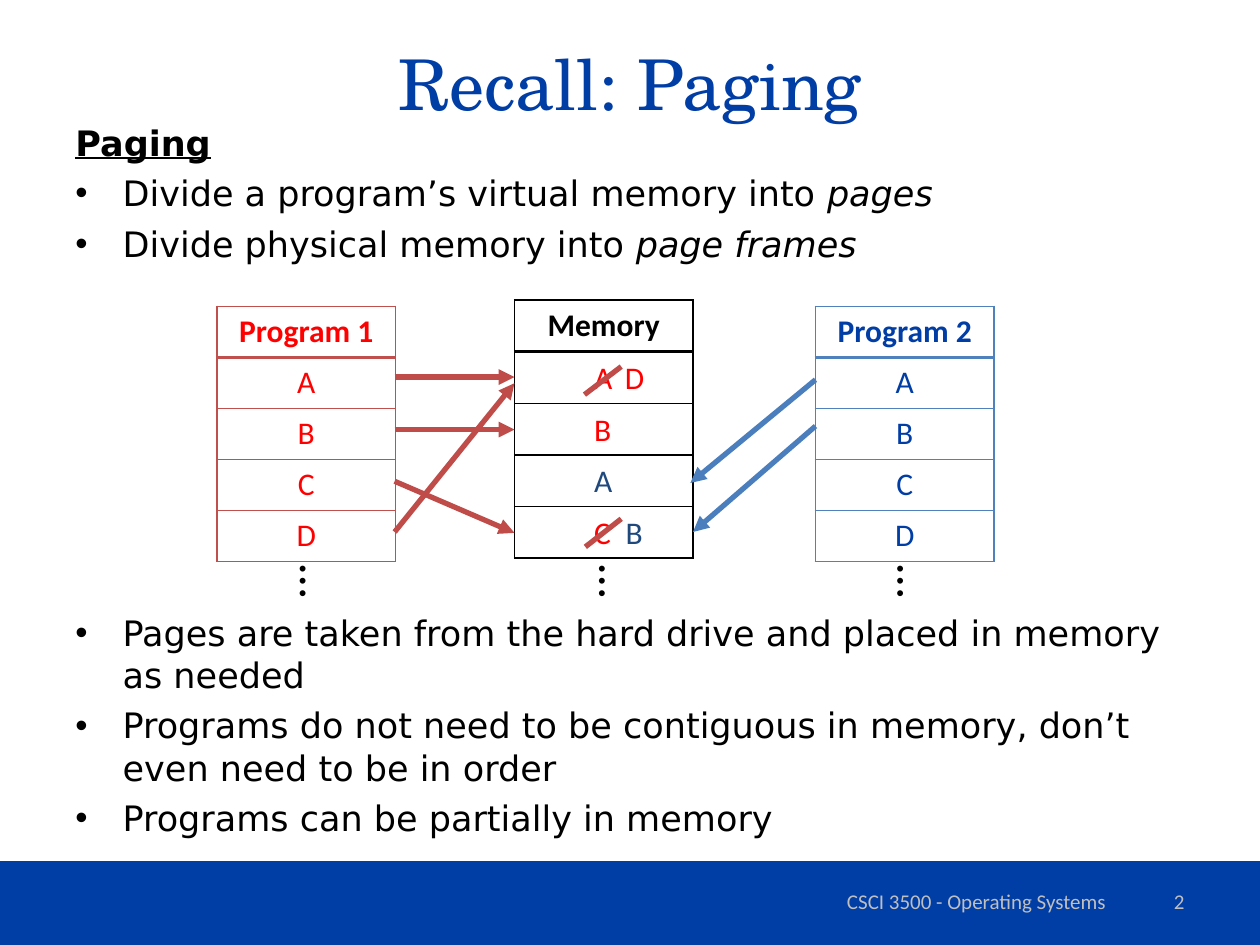
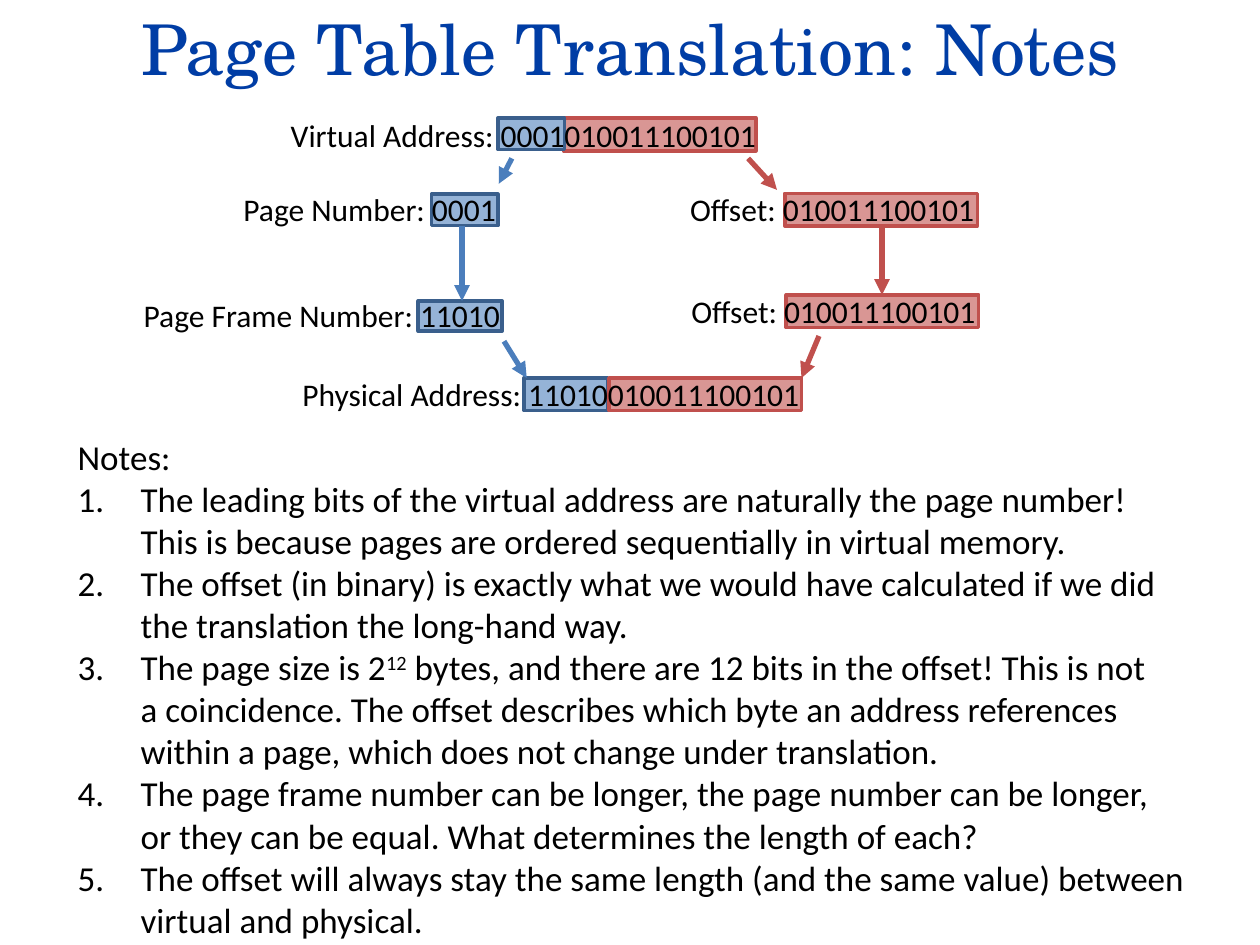
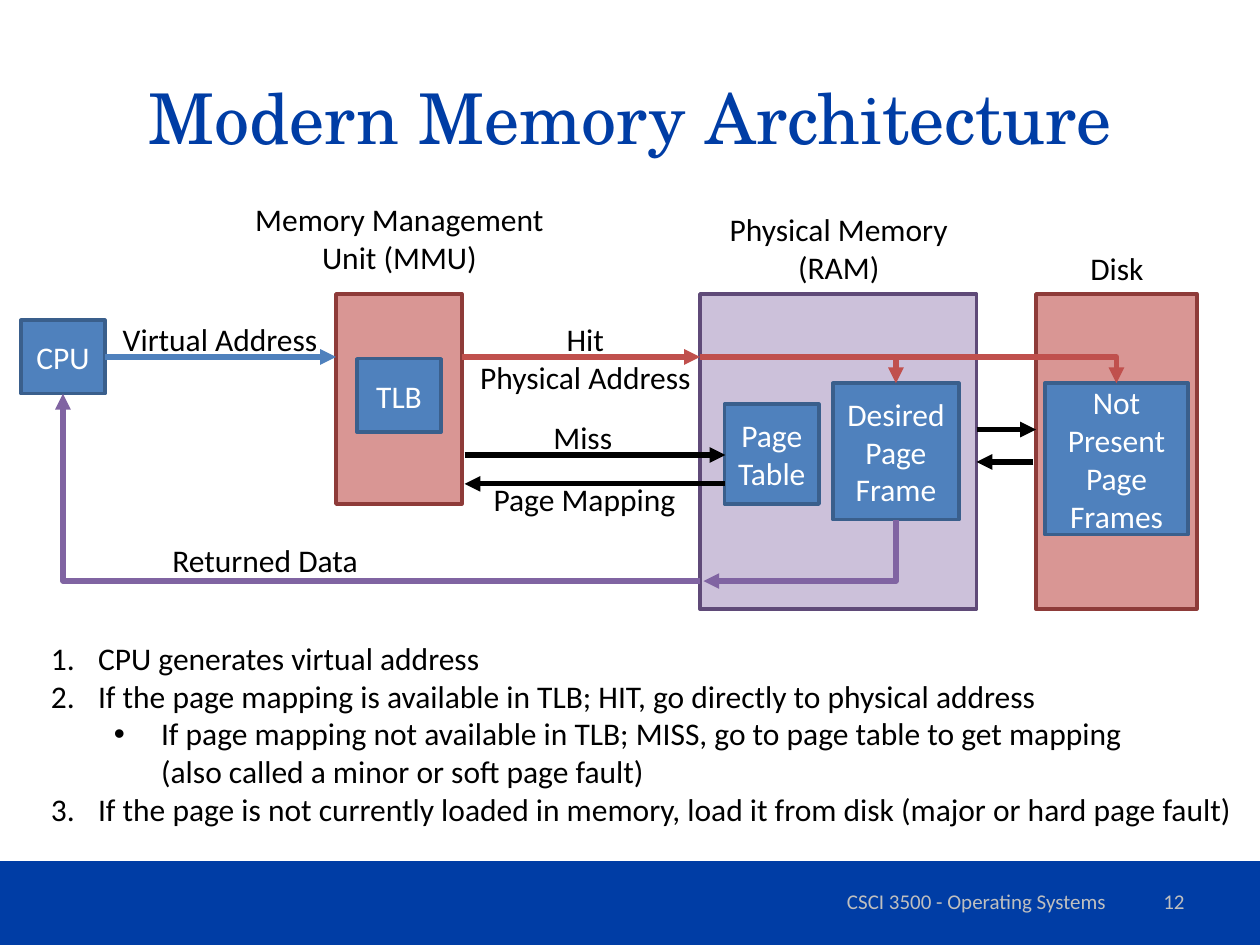
from lxml import etree
from pptx import Presentation
from pptx.dml.color import RGBColor
from pptx.enum import shapes, text as txt
from pptx.oxml import ns
from pptx.util import Pt

# Shared look
NAVY = RGBColor(0x00, 0x3D, 0xA5)
GRAY = RGBColor(0xBF, 0xBF, 0xBF)
BLACK = RGBColor(0, 0, 0)
WHITE = RGBColor(255, 255, 255)
RED = RGBColor(255, 0, 0)
INK = RGBColor(0x1F, 0x49, 0x7D)
BRICK = RGBColor(0xC0, 0x50, 0x4D)
RUST = RGBColor(0xBF, 0x4C, 0x48)
WINE = RGBColor(0x8E, 0x3B, 0x39)
ROSE = RGBColor(0xD9, 0x96, 0x94)
BLUE = RGBColor(0x4F, 0x81, 0xBD)
STEEL = RGBColor(0x4B, 0x7E, 0xBC)
DEEP = RGBColor(0x3A, 0x5F, 0x8C)
SKY = RGBColor(0x95, 0xB3, 0xD7)
LILAC = RGBColor(0xCC, 0xC1, 0xDA)
PLUM = RGBColor(0x5F, 0x4A, 0x78)
VIOLET = RGBColor(0x80, 0x64, 0xA2)
BODY, HEAD, WIDE = "Calibri", "TeX Gyre Schola", "DejaVu Sans"
COURSE = "CSCI 3500 - Operating Systems"
LEFT, MID, RIGHT = txt.PP_ALIGN.LEFT, txt.PP_ALIGN.CENTER, txt.PP_ALIGN.RIGHT
TOP, CENTER = txt.MSO_ANCHOR.TOP, txt.MSO_ANCHOR.MIDDLE

# Paragraphs are plain text or (mark, runs); runs are (text, style)
# Slide 1 content
INTRO = [
    ("", [("Paging", "bold line")]),
    ("•", [("Divide a program’s virtual memory into ", ""), ("pages", "italic")]),
    ("•", [("Divide physical memory into ", ""), ("page frames", "italic")]),
]
FACTS = [("•", [(fact, "")]) for fact in (
    "Pages are taken from the hard drive and placed in memory as needed",
    "Programs do not need to be contiguous in memory, don’t even need to be in order",
    "Programs can be partially in memory",
)]
PAGES = ["A", "B", "C", "D"]
TABLES = [  # left, top, row height, border, ink, cells
    (124, 175, 29.2, BRICK, RED, ["Program 1"] + PAGES),
    (466, 175, 29.2, BLUE, NAVY, ["Program 2"] + PAGES),
    (294, 171.5, 29.5, BLACK, BLACK, ["Memory"] + [""] * 4),
]
FRAMES = [  # row, left, letter, ink
    (0, 332.5, "A", RED), (1, 332.5, "B", RED), (2, 332.5, "A", INK),
    (3, 332.5, "C", RED), (0, 350, "D", RED), (3, 350.5, "B", INK),
]
MAPS = [
    (225.5, 215.5, 294, 215.5, RUST), (225.5, 245.5, 294, 245.5, RUST),
    (225.5, 275, 294, 304.5, RUST), (225.5, 304, 294, 219, RUST),
    (466, 217, 394.5, 276, STEEL), (466, 243.5, 396, 304, STEEL),
]
STRIKES = [(334, 225.5, 355, 209.5), (334.5, 312.5, 355, 296.5)]

# Slide 2 content
BITS = [  # left, top, width, height, fill, border
    (322, 67.5, 110, 18.7, ROSE, BRICK), (284.5, 67.5, 38, 18, SKY, DEEP),
    (448.5, 110.5, 110, 18.7, ROSE, BRICK), (246.5, 110.9, 38, 18, SKY, DEEP),
    (239, 172, 48, 17.3, SKY, DEEP), (299.5, 216, 48, 18.7, SKY, DEEP),
    (449.3, 168.5, 110, 18.7, ROSE, BRICK), (348, 216, 110, 18.7, ROSE, BRICK),
]
STEPS = [  # left, top, width, text
    (159, 62.5, 283.5, "Virtual Address: 0001010011100101"),
    (132, 105, 160.5, "Page Number: 0001"),
    (387.3, 105, 179.3, "Offset: 010011100101"),
    (75, 165.7, 227, "Page Frame Number: 11010"),
    (388, 163.5, 179.3, "Offset: 010011100101"),
    (165.7, 211, 301.5, "Physical Address: 11010010011100101"),
]
FLOWS = [
    (292.5, 90.5, 285, 105, STEEL), (427.5, 90.5, 444, 108.5, BRICK),
    (288, 195, 301, 216, STEEL), (468, 192, 458, 216, BRICK),
    (264, 129, 264, 172, STEEL), (504, 129, 504, 168.5, BRICK),
]
NOTES = [
    ("", [("Notes:", "")]),
    ("1.", [("The leading bits of the virtual address are naturally the page number!\n"
             "This is because pages are ordered sequentially in virtual memory.", "")]),
    ("1.", [("The offset (in binary) is exactly what we would have calculated if we did\n"
             "the translation the long-hand way.", "")]),
    ("1.", [("The page size is 2", ""), ("12", "super"),
            (" bytes, and there are 12 bits in the offset! This is not\n"
             "a coincidence. The offset describes which byte an address references\n"
             "within a page, which does not change under translation.", "")]),
    ("1.", [("The page frame number can be longer, the page number can be longer,\n"
             "or they can be equal. What determines the length of each?", "")]),
    ("1.", [("The offset will always stay the same length (and the same value) between\n"
             "virtual and physical.", "")]),
]

# Slide 3 content
UNITS = [  # left, top, width, height, fill, border
    (192, 168, 72, 120, ROSE, WINE), (400, 168, 158, 180, LILAC, PLUM),
    (592, 168, 92, 180, ROSE, WINE),
]
BLOCKS = [  # left, top, width, height, text
    (12, 183, 48, 42, "CPU"), (204, 205, 48, 42, "TLB"),
    (414, 231, 54, 57, "Page Table"), (476, 219, 72, 78, "Desired Page Frame"),
    (597, 219, 82, 86.5, "Not\nPresent\nPage\nFrames"),
]
LABELS = [  # left, top, width, text
    (266.5, 179.5, 136, "Hit\nPhysical Address"),
    (137.5, 111, 181.5, "Memory Management\nUnit (MMU)"),
    (409, 116.5, 140.5, "Physical Memory\n(RAM)"),
    (62.5, 179.5, 126.5, "Virtual Address"), (90.5, 305.5, 122, "Returned Data"),
    (309, 235.5, 48, "Miss"), (260.5, 271, 147, "Page Mapping"),
    (615.5, 138.5, 45.5, "Disk"),
]
LINKS = [
    (264, 204, 400, 204, BRICK), (60, 204, 192, 204, BLUE),
    (265.5, 260, 414.5, 260, BLACK), (414, 276.5, 265.5, 276.5, BLACK),
    (558, 245.5, 592, 245.5, BLACK), (590.5, 264, 558, 264, BLACK),
]
BENDS = [  # last value: goes down first
    (400, 204, 512, 219, BRICK, False), (400, 332, 36, 225, VIOLET, False),
    (512, 297, 402, 332, VIOLET, True), (512, 204, 638, 219, BRICK, False),
]
STAGES = [
    ("1.", [("CPU generates virtual address", "")]),
    ("1.", [("If the page mapping is available in TLB; HIT, go directly to physical address", "")]),
    ("sub", [("If page mapping not available in TLB; MISS, go to page table to get mapping\n"
              "(also called a minor or soft page fault)", "")]),
    ("1.", [("If the page is not currently loaded in memory, load it from disk "
             "(major or hard page fault)", "")]),
]


def add(parent, tag, **attrs):
    node = etree.SubElement(parent, ns.qn(tag))
    for key, val in attrs.items():
        node.set(key, str(val))
    return node


def write(frame, text, size=18, font=BODY, color=BLACK, bold=False, align=LEFT,
          anchor=TOP, wrap=True, gap=0, indent=27):
    frame.word_wrap, frame.vertical_anchor = wrap, anchor
    paras = [("", [(text, "")])] if isinstance(text, str) else text
    for i, (mark, runs) in enumerate(paras):
        para = frame.add_paragraph() if i else frame.paragraphs[0]
        para.alignment = align
        if i and gap:
            para.space_before = Pt(gap)
        if mark:
            prop = para._p.get_or_add_pPr()
            prop.set("marL", str(Pt(indent + 36 * (mark == "sub"))))
            prop.set("indent", str(Pt(-indent)))
            if mark == "1.":
                add(prop, "a:buAutoNum", type="arabicPeriod")
            else:
                add(prop, "a:buFont", typeface="Arial")
                add(prop, "a:buChar", char="•")
            para.level = int(mark == "sub")
        for words, style in runs:
            for j, line in enumerate(words.split("\n")):
                if j:
                    para.add_line_break()
                run = para.add_run()
                run.text = line
                face = run.font
                face.size, face.name, face.color.rgb = Pt(size), font, color
                face.bold = bold or "bold" in style
                face.italic, face.underline = "italic" in style, "line" in style
                if "super" in style:
                    run._r.get_or_add_rPr().set("baseline", "30000")
        for br in para._p.findall(ns.qn("a:br")):
            add(br, "a:rPr", sz=size * 100)


def label(page, x, y, w, h, text, **fmt):
    box = page.shapes.add_textbox(Pt(x), Pt(y), Pt(w), Pt(h))
    write(box.text_frame, text, **fmt)
    return box


def block(page, x, y, w, h, fill, edge=None):
    box = page.shapes.add_shape(shapes.MSO_SHAPE.RECTANGLE, Pt(x), Pt(y), Pt(w), Pt(h))
    box.shadow.inherit = False
    box.fill.solid()
    box.fill.fore_color.rgb = fill
    if edge is None:
        box.line.fill.background()
    else:
        box.line.color.rgb, box.line.width = edge, Pt(2)
    return box


def link(page, x1, y1, x2, y2, color, head=True):
    line = page.shapes.add_connector(
        shapes.MSO_CONNECTOR.STRAIGHT, Pt(x1), Pt(y1), Pt(x2), Pt(y2))
    line.line.color.rgb, line.line.width = color, Pt(3)
    if head:
        add(line.line._get_or_add_ln(), "a:tailEnd", type="triangle")
    add(line._element.spPr, "a:effectLst")
    return line


def bend(page, x1, y1, x2, y2, color, down):
    if down:  # a quarter turn about the centre
        cx, cy = (x1 + x2) / 2, (y1 + y2) / 2
        dx, dy = abs(x2 - x1) / 2, abs(y2 - y1) / 2
        x1, y1, x2, y2 = cx - dy, cy - dx, cx + dy, cy + dx
    props = link(page, x1, y1, x2, y2, color)._element.spPr
    props.find(ns.qn("a:prstGeom")).set("prst", "bentConnector2")
    if down:
        props.find(ns.qn("a:xfrm")).set("rot", "5400000")


def grid(page, x, y, high, edge, ink, cells):
    count = len(cells)
    table = page.shapes.add_table(count, 1, Pt(x), Pt(y), Pt(102), Pt(high * count)).table
    table.first_row = table.horz_banding = False
    for i, word in enumerate(cells):
        table.rows[i].height = Pt(high)
        cell = table.cell(i, 0)
        prop = cell._tc.get_or_add_tcPr()
        for side in "LRTB":
            thick = (i, side) in ((0, "B"), (1, "T"))
            line = add(prop, "a:ln" + side, w=Pt(2 if thick else 1))
            add(add(line, "a:solidFill"), "a:srgbClr", val=edge)
        cell.fill.background()
        if word:
            write(cell.text_frame, word, color=ink, bold=i == 0, align=MID)


def start(deck, title, top, number=None):
    page = deck.slides.add_slide(deck.slide_layouts[6])
    if number:
        block(page, 0, 492, 720, 48, NAVY)
        foot = dict(size=12, color=GRAY, anchor=CENTER)
        label(page, 444, 500.5, 228, 28.75, COURSE, align=MID, **foot)
        label(page, 516, 500.5, 168, 28.75, number, align=RIGHT, **foot)
    label(page, 36, top, 648, 90, title, size=40, font=HEAD, color=NAVY,
          align=MID, anchor=CENTER)
    return page


def paging(deck):
    page = start(deck, "Recall: Paging", 2, "2")
    for top, high, paras in ((66, 90, INTRO), (346, 140, FACTS)):
        label(page, 36, top, 648, high, paras, size=20, font=WIDE, gap=4.7)
    for spec in TABLES:
        grid(page, *spec)
    for x in (165.5, 336.5, 507):
        label(page, x, 312, 34, 41, "…", size=28, wrap=False).rotation = 90
    for row, x, letter, ink in FRAMES:
        label(page, x, 201 + 29.5 * row, 25, 29, letter, color=ink, wrap=False)
    for ends in MAPS:
        link(page, *ends)
    for ends in STRIKES:
        link(page, *ends, RUST, head=False)


def notes(deck):
    page = start(deck, "Page Table Translation: Notes", -18)
    for spec in BITS:
        block(page, *spec)
    for x, y, w, words in STEPS:
        label(page, x, y, w, 29, words, wrap=False)
    for ends in FLOWS:
        link(page, *ends)
    label(page, 37.3, 245.5, 654, 298, NOTES, size=20, indent=36, wrap=False)


def memory(deck):
    page = start(deck, "Modern Memory Architecture", 21.6, "12")
    for spec in UNITS:
        block(page, *spec)
    for x, y, w, h, words in BLOCKS:
        box = block(page, x, y, w, h, BLUE, DEEP)
        write(box.text_frame, words, color=WHITE, align=MID, anchor=CENTER)
    for x, y, w, words in LABELS:
        high = 29 + 22 * words.count("\n")
        label(page, x, y, w, high, words, align=MID, wrap=False)
    for ends in LINKS:
        link(page, *ends)
    for spec in BENDS:
        bend(page, *spec)
    label(page, 22, 361.5, 698, 116.6, STAGES, wrap=False)


def main():
    deck = Presentation()
    deck.slide_width, deck.slide_height = Pt(720), Pt(540)
    for make in (paging, notes, memory):
        make(deck)
    deck.save("out.pptx")


if __name__ == "__main__":
    main()
